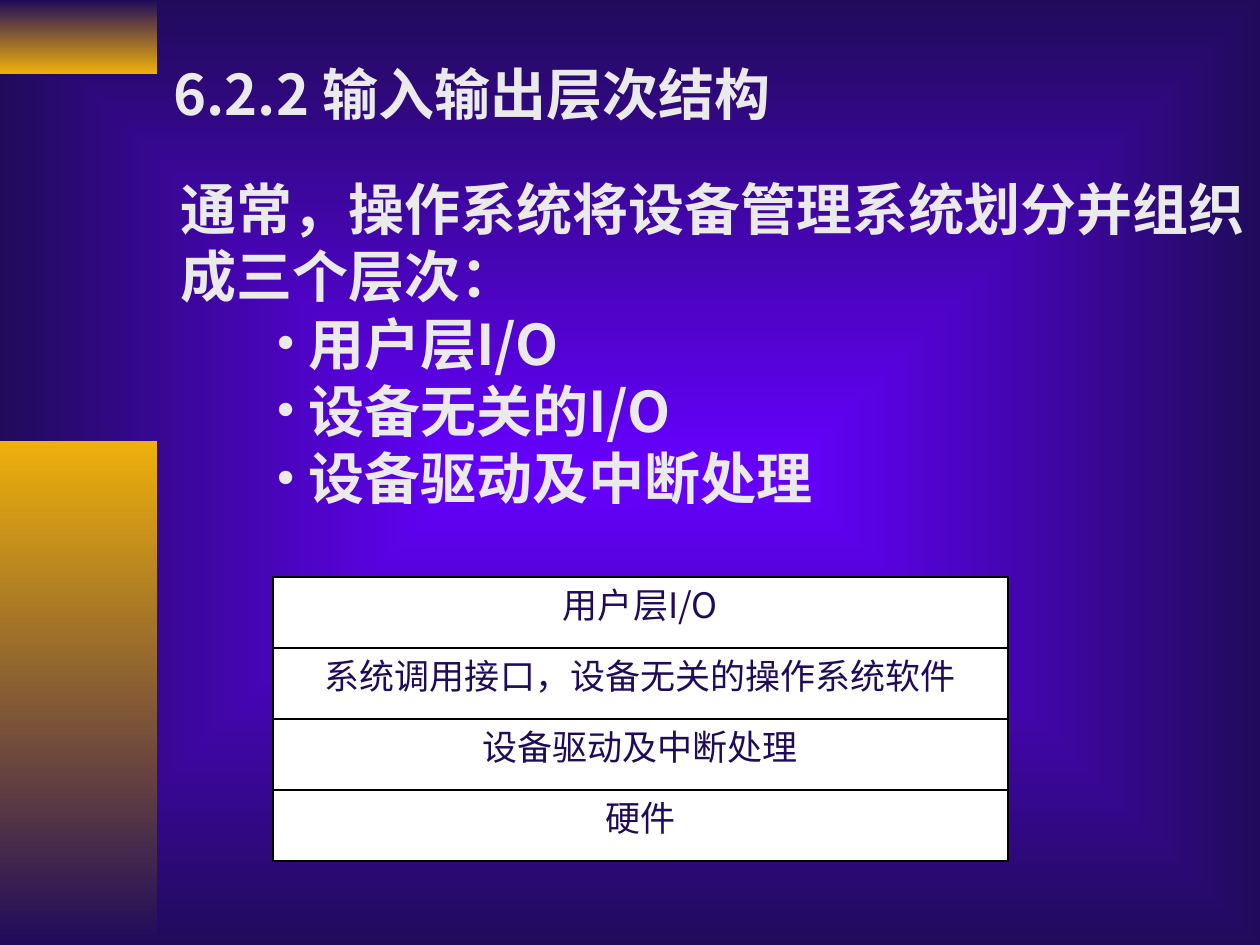
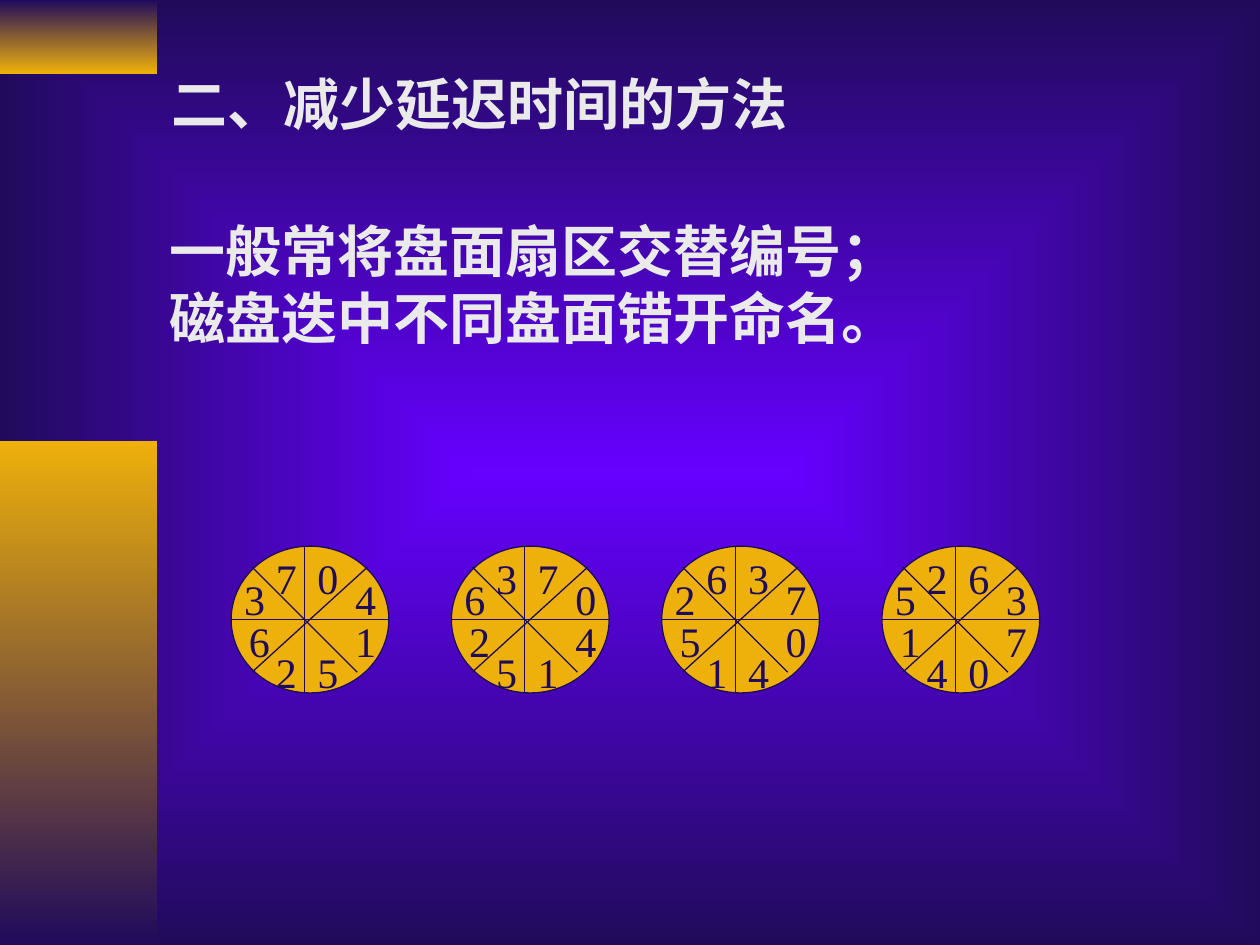
from dataclasses import dataclass, replace

from lxml import etree
from pptx import Presentation
from pptx.dml.color import RGBColor
from pptx.enum.shapes import MSO_CONNECTOR, MSO_SHAPE
from pptx.enum.text import MSO_ANCHOR, MSO_AUTO_SIZE, PP_ALIGN
from pptx.oxml.ns import qn
from pptx.util import Cm, Pt

RECTANGLE = MSO_SHAPE.RECTANGLE
OVAL = MSO_SHAPE.OVAL
STRAIGHT = MSO_CONNECTOR.STRAIGHT
TOP = MSO_ANCHOR.TOP
FIXED = MSO_AUTO_SIZE.NONE
LEFT = PP_ALIGN.LEFT
CENTER = PP_ALIGN.CENTER


@dataclass(frozen=True)
class TextStyle:
    size: int
    color: RGBColor
    font: str = "Noto Sans CJK SC"
    bold: bool = False
    align: int = LEFT


@dataclass(frozen=True)
class Theme:
    violet = RGBColor.from_string("6600FF")
    navy = RGBColor.from_string("200B5B")
    gold = RGBColor.from_string("EEB00B")
    pale = RGBColor.from_string("EAEAEA")
    white = RGBColor.from_string("FFFFFF")
    black = RGBColor.from_string("000000")
    asian_font = "Noto Sans CJK SC"
    latin_font = "Times New Roman"
    line_pitch = 1.2
    heading = TextStyle(32, pale, bold=True)
    layer = TextStyle(20, navy, align=CENTER)
    sector = TextStyle(24, navy, latin_font)


theme = Theme()


def blend(fill, start, end):
    fill.gradient()
    for stop, color in zip(fill.gradient_stops, (start, end)):
        stop.color.rgb = color


def write(frame, lines, style, wrap=True):
    frame.auto_size = FIXED
    frame.word_wrap = wrap
    frame.vertical_anchor = TOP
    frame.margin_left = frame.margin_right = Cm(0.25)
    frame.margin_top = frame.margin_bottom = Cm(0.13)
    for number, line in enumerate(lines):
        paragraph = frame.add_paragraph() if number else frame.paragraphs[0]
        paragraph.alignment = style.align
        paragraph.line_spacing = Pt(theme.line_pitch * style.size)
        paragraph.space_before = Pt(0)
        run = paragraph.add_run()
        run.text = line
        run.font.size = Pt(style.size)
        run.font.bold = style.bold
        run.font.color.rgb = style.color
        run.font.name = style.font
        etree.SubElement(run._r.get_or_add_rPr(), qn("a:ea"), typeface=theme.asian_font)


prs = Presentation()
prs.slide_width, prs.slide_height = Cm(25.4), Cm(19.05)
master = prs.slide_master

blend(master.background.fill, theme.violet, theme.navy)
backdrop = master.element.find(".//" + qn("p:bgPr") + "/" + qn("a:gradFill"))
backdrop.remove(backdrop.find(qn("a:lin")))
focus = etree.SubElement(backdrop, qn("a:path"), path="rect")
etree.SubElement(focus, qn("a:fillToRect"), l="50000", t="50000", r="50000", b="50000")

contents = [
    ("6.2.2 输入输出层次结构", (3.25, 1.07, 13.5, 1.63), theme.heading,
     ["通常，操作系统将设备管理系统划分并组织成三个层次："],
     ["用户层I/O", "设备无关的I/O", "设备驱动及中断处理"],
     (3.38, 3.39, 22.02, 7.04)),
    ("二、减少延迟时间的方法", (3.2, 1.27, 13.5, 1.63),
     replace(theme.heading, font=theme.latin_font),
     ["一般常将盘面扇区交替编号；", "磁盘迭中不同盘面错开命名。"], [],
     (3.16, 4.23, 22.24, 2.97)),
]
slides = []
for heading, heading_box, heading_style, statements, points, body_box in contents:
    slide = prs.slides.add_slide(prs.slide_layouts[1])
    slides.append(slide)
    title, body = slide.placeholders
    for holder, box in ((title, heading_box), (body, body_box)):
        holder.left, holder.top, holder.width, holder.height = map(Cm, box)
    write(title.text_frame, [heading], heading_style)
    write(body.text_frame, statements + points, theme.heading)
    for number, paragraph in enumerate(body.text_frame.paragraphs):
        props = paragraph._p.get_or_add_pPr()
        if number < len(statements):
            props.set("marL", "0")
            props.set("indent", "0")
            etree.SubElement(props, qn("a:buNone"))
        else:
            paragraph.level = 2
            props.set("marL", str(Cm(2.58)))
            props.set("indent", str(Cm(-0.65)))
            bullet_color = etree.SubElement(props, qn("a:buClr"))
            etree.SubElement(bullet_color, qn("a:srgbClr"), val=str(theme.pale))
            etree.SubElement(props, qn("a:buFont"), typeface=theme.latin_font)
            etree.SubElement(props, qn("a:buChar"), char="•")

layers_slide, disks_slide = slides

bands = [(0, 1.48, theme.navy, theme.gold), (8.89, 10.16, theme.gold, theme.navy)]
for number, (top, height, start, end) in enumerate(bands):
    band = layers_slide.shapes.add_shape(RECTANGLE, 0, Cm(top), Cm(3.17), Cm(height))
    band.shadow.inherit = False
    band.line.fill.background()
    blend(band.fill, start, end)
    band.fill.gradient_angle = 270
    band.element.nvSpPr.cNvPr.id = 20 + number
    master.shapes.element.insert(2 + number, band.element)

layer_height = 1.43
layers = ["用户层I/O", "系统调用接口，设备无关的操作系统软件", "设备驱动及中断处理", "硬件"]
for number, caption in enumerate(layers):
    layer = layers_slide.shapes.add_shape(
        RECTANGLE, Cm(5.5), Cm(11.64 + number * layer_height), Cm(14.82), Cm(layer_height))
    layer.shadow.inherit = False
    layer.fill.solid()
    layer.fill.fore_color.rgb = theme.white
    layer.line.color.rgb = theme.black
    layer.line.width = Pt(1)
    write(layer.text_frame, [caption], theme.layer)

disk_top = 11.01
disk_lefts = [4.66, 9.1, 13.34, 17.78]
spokes = [(1.48, 2.96, 1.48, 0), (0, 1.48, 3.18, 1.48),
          (0.42, 2.54, 2.75, 0.42), (0.42, 0.42, 2.54, 2.54)]
sector_spots = [(1.49, 0), (2.25, 0.42), (2.25, 1.27), (1.49, 1.9),
                (0.65, 1.9), (0.11, 1.27), (0.01, 0.42), (0.65, 0)]
sector_order = "04152637"
for shift, disk_left in enumerate(disk_lefts):
    parts = disks_slide.shapes.add_group_shape().shapes
    disk = parts.add_shape(OVAL, Cm(disk_left), Cm(disk_top), Cm(3.18), Cm(2.96))
    disk.shadow.inherit = False
    disk.fill.solid()
    disk.fill.fore_color.rgb = theme.gold
    disk.line.color.rgb = theme.navy
    disk.line.width = Pt(0.75)
    for x1, y1, x2, y2 in spokes:
        spoke = parts.add_connector(
            STRAIGHT, Cm(disk_left + x1), Cm(disk_top + y1),
            Cm(disk_left + x2), Cm(disk_top + y2))
        spoke.line.color.rgb = theme.navy
        spoke.line.width = Pt(0.75)
        etree.SubElement(spoke.element.spPr, qn("a:effectLst"))
    for place, (x, y) in enumerate(sector_spots):
        sector = parts.add_textbox(
            Cm(disk_left + x), Cm(disk_top + y), Cm(0.92), Cm(1.27))
        digit = sector_order[(place - shift) % len(sector_order)]
        write(sector.text_frame, [digit], theme.sector, wrap=False)

prs.save("out.pptx")
